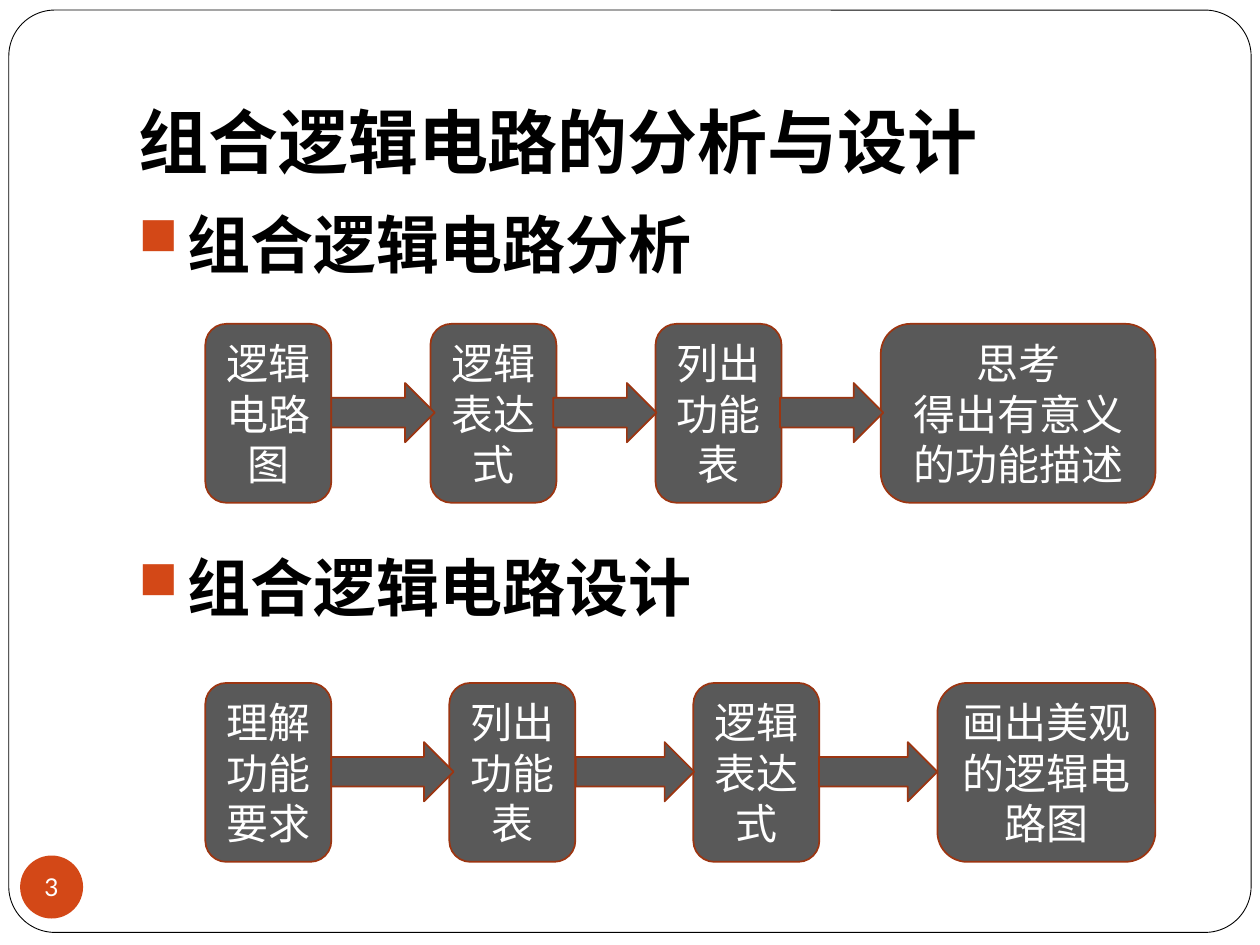
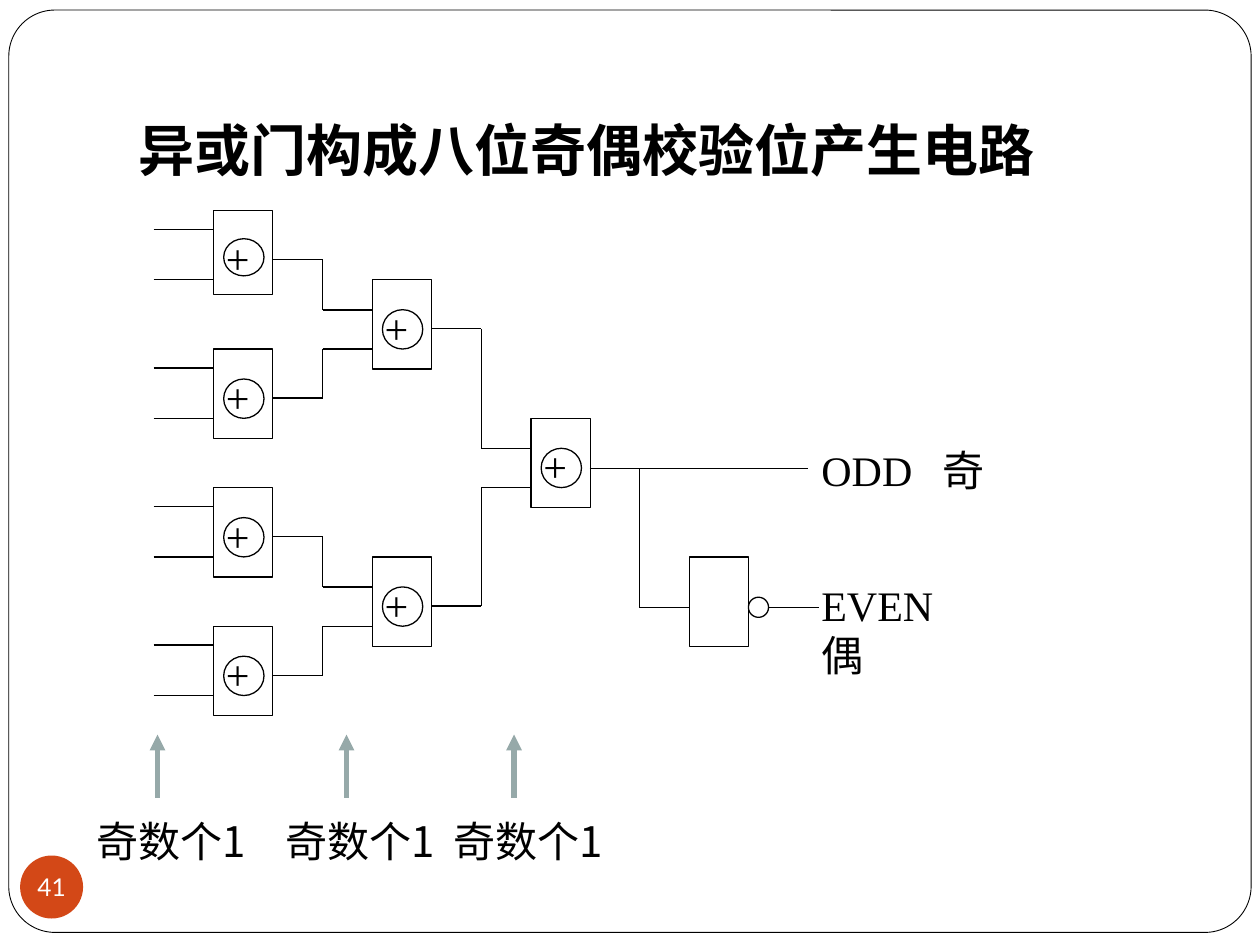
from lxml import etree
from pptx import Presentation
from pptx.dml.color import RGBColor
from pptx.enum import shapes, text
from pptx.oxml import ns
from pptx.util import Inches, Pt

COLORS = {
    "paper": "FFFFFF",
    "ink": "000000",
    "accent": "D34817",
    "accent_dark": "9C3511",
    "step": "595959",
    "pointer": "96A9A9",
}
HEADING_FONT = "Noto Sans CJK JP"
BODY_FONT = "Times New Roman"
NUMBER_FONT = "Lato"
EAST_ASIAN_FONT = "Lato"

KIND = shapes.MSO_SHAPE
ANCHOR = text.MSO_ANCHOR


def color(name):
    return RGBColor.from_string(COLORS[name])


def add_xml(parent, tag, **attributes):
    return etree.SubElement(parent, ns.qn(tag), attributes)


def style_text(frame, size, font, color_name="ink", bold=False, align=None):
    for paragraph in frame.paragraphs:
        paragraph.alignment = align
        for run in paragraph.runs:
            run.font.size = Pt(size)
            run.font.name = font
            run.font.bold = bold
            run.font.color.rgb = color(color_name)
            add_xml(run.font._element, "a:ea", typeface=EAST_ASIAN_FONT)


def add_box(container, kind, box, fill=None, line=None, width=0.75):
    shape = container.add_shape(kind, *map(Inches, box))
    shape.shadow.inherit = False
    if fill:
        shape.fill.solid()
        shape.fill.fore_color.rgb = color(fill)
    else:
        shape.fill.background()
    if line:
        shape.line.color.rgb = color(line)
        shape.line.width = Pt(width)
    else:
        shape.line.fill.background()
    return shape


def add_textbox(container, box, words, size, font, bold=False, grow=False):
    shape = container.add_textbox(*map(Inches, box))
    frame = shape.text_frame
    frame.word_wrap = True
    if grow:
        frame.auto_size = text.MSO_AUTO_SIZE.SHAPE_TO_FIT_TEXT
    frame.text = words
    style_text(frame, size, font, bold=bold)
    return frame


def add_line(container, start, end, color_name="ink", width=0.75, arrow=False):
    connector = container.add_connector(
        shapes.MSO_CONNECTOR.STRAIGHT, *map(Inches, (*start, *end)))
    connector.line.color.rgb = color(color_name)
    connector.line.width = Pt(width)
    if arrow:
        add_xml(connector.line._get_or_add_ln(), "a:tailEnd", type="triangle")
    add_xml(connector._element.spPr, "a:effectLst")


def add_base_slide(presentation, title, title_size, number):
    """Frame, title and page number shared by all slides."""
    slide = presentation.slides.add_slide(presentation.slide_layouts[6])
    frame = add_box(slide.shapes, KIND.ROUNDED_RECTANGLE,
                    (0.07, 0.08, 9.86, 7.32), "paper", "ink", 0.5)
    frame.adjustments[0] = 0.05

    heading = add_textbox(slide.shapes, (1, 0.3, 8.5, 1.25), title,
                          title_size, HEADING_FONT, bold=True)
    heading.vertical_anchor = ANCHOR.BOTTOM
    heading.margin_bottom = Inches(0.1)

    badge = add_box(slide.shapes, KIND.OVAL, (0.16, 6.79, 0.5, 0.5), "accent")
    label = badge.text_frame
    label.margin_left = label.margin_right = 0
    label.margin_top = label.margin_bottom = 0
    label.word_wrap = False
    label.vertical_anchor = ANCHOR.MIDDLE
    label.text = str(number)
    style_text(label, 14, NUMBER_FONT, "paper", align=text.PP_ALIGN.CENTER)
    return slide


# Analysis and design flows

def add_topics(slide, box, topics, gap):
    frame = add_textbox(slide.shapes, box, "\n".join(topics), 36,
                        HEADING_FONT, bold=True)
    for index, paragraph in enumerate(frame.paragraphs):
        properties = paragraph._element.get_or_add_pPr()
        properties.set("marL", str(Inches(0.39)))
        properties.set("indent", str(-Inches(0.39)))
        if index:
            paragraph.space_before = Pt(gap)
        bullet_color = add_xml(properties, "a:buClr")
        add_xml(bullet_color, "a:srgbClr", val=COLORS["accent"])
        add_xml(properties, "a:buSzPct", val="85000")
        add_xml(properties, "a:buChar", char="■")


def add_flow(slide, box, steps, last_width, arrows):
    """Equal gaps between steps; arrows are (offset, length) pairs."""
    left, top, width, height = box
    widths = [1] * (len(steps) - 1) + [last_width]
    gap = (width - sum(widths)) / (len(steps) - 1)
    x = left
    for words, step_width in zip(steps, widths):
        step = add_box(slide.shapes, KIND.ROUNDED_RECTANGLE,
                       (x, top, step_width, height), "step", "accent_dark", 1)
        frame = step.text_frame
        frame.word_wrap = True
        frame.vertical_anchor = ANCHOR.MIDDLE
        frame.text = words
        style_text(frame, 24, BODY_FONT, "paper", align=text.PP_ALIGN.CENTER)
        x += step_width + gap
    for offset, length in arrows:
        add_box(slide.shapes, KIND.RIGHT_ARROW,
                (left + offset, top + 0.47, length, 0.47),
                "step", "accent_dark", 1)


def build_flow_slide(presentation):
    slide = add_base_slide(presentation, "组合逻辑电路的分析与设计", 40, 3)
    add_topics(slide, (1, 1.58, 8.5, 5),
               ["组合逻辑电路分析", "组合逻辑电路设计"], 153)
    add_flow(slide, (1.63, 2.57, 7.54, 1.42),
             ["逻辑电路图", "逻辑表达式", "列出功能表",
              "思考\n得出有意义的功能描述"],
             2.18, [(1, 0.82), (2.76, 0.82), (4.56, 0.82)])
    add_flow(slide, (1.63, 5.42, 7.54, 1.42),
             ["理解功能要求", "列出功能表", "逻辑表达式", "画出美观的逻辑电路图"],
             1.73, [(1, 0.97), (2.94, 0.94), (4.87, 0.94)])


# Parity circuit

GATE_WIDTH = 0.47
GATE_HEIGHT = 0.71
LEVEL_STEP = 1.26
ROW_STEP = 1.1
WIRE = (LEVEL_STEP - GATE_WIDTH) / 2
OUTPUT = 0.39
INPUTS = (0.24, 0.55)


def add_xor_gate(container, x, y, height=GATE_HEIGHT):
    add_box(container, KIND.RECTANGLE, (x, y, GATE_WIDTH, height), line="ink")
    add_box(container, KIND.OVAL,
            (x + 0.08, y + 0.335 * height, 0.32, 0.44 * height), line="ink")
    add_textbox(container, (x, y + 0.13, GATE_WIDTH, 0.5), "+", 24, BODY_FONT,
                grow=True)


def add_path(container, *points):
    for start, end in zip(points, points[1:]):
        add_line(container, start, end)


def add_xor_tree(container, left, tops):
    """Each level halves the gates and doubles their spacing."""
    levels = len(tops)
    for level, top in enumerate(tops):
        x = left + WIRE + 0.08 + level * LEVEL_STEP
        for row in range(2 ** (levels - 1 - level)):
            y = top + row * ROW_STEP * 2 ** level
            first = level == row == 0
            add_xor_gate(container, x, y, 0.67 if first else GATE_HEIGHT)
            if level == 0:
                for offset in (0.15, 0.55):
                    add_line(container, (left, y + offset), (x, y + offset))
            if level < levels - 1:
                start = x + GATE_WIDTH
                target = (tops[level + 1] + row // 2 * ROW_STEP * 2 ** (level + 1)
                          + INPUTS[row % 2])
                add_path(container, (start, y + OUTPUT),
                         (start + WIRE, y + OUTPUT),
                         (start + WIRE, target), (start + 2 * WIRE, target))


def add_outputs(container, left, top):
    """ODD output, and its inverted branch giving EVEN."""
    low = top + ROW_STEP
    add_line(container, (left, top), (left + 1.73, top))
    add_path(container, (left + WIRE, top), (left + WIRE, low),
             (left + 2 * WIRE, low))
    gate_x = left + 2 * WIRE
    add_box(container, KIND.RECTANGLE,
            (gate_x, low - 0.4, GATE_WIDTH, GATE_HEIGHT), line="ink")
    bubble_x = gate_x + GATE_WIDTH
    add_box(container, KIND.OVAL, (bubble_x, low - 0.08, 0.16, 0.16), line="ink")
    add_line(container, (bubble_x + 0.16, low), (bubble_x + 0.56, low))
    for words, y in (("ODD\t奇", top - 0.24), ("EVEN\v偶", low - 0.27)):
        frame = add_textbox(container, (left + 1.74, y, 1.65, 0.5), words, 24,
                            BODY_FONT, grow=True)
        properties = frame.paragraphs[0]._element.get_or_add_pPr()
        tabs = add_xml(properties, "a:tabLst")
        add_xml(tabs, "a:tab", pos=str(Inches(0.96)), algn="l")


def add_pointer(slide, left, top):
    group = slide.shapes.add_group_shape().shapes
    add_textbox(group, (left, top + 0.59, 1.42, 0.5), "奇数个1", 24,
                HEADING_FONT, grow=True)
    add_line(group, (left + 0.58, top + 0.5), (left + 0.58, top),
             "pointer", 3, arrow=True)


def build_circuit_slide(presentation):
    slide = add_base_slide(presentation, "异或门构成八位奇偶校验位产生电路", 32, 41)
    circuit = slide.shapes.add_group_shape().shapes
    add_xor_tree(circuit, 1.22, (1.67, 2.22, 3.32))
    add_outputs(circuit, 4.68, 3.72)
    for left in (0.67, 2.17, 3.5):
        add_pointer(slide, left, 5.83)


def main():
    presentation = Presentation()
    presentation.slide_width = Inches(10)
    presentation.slide_height = Inches(7.5)
    build_flow_slide(presentation)
    build_circuit_slide(presentation)
    presentation.save("out.pptx")


if __name__ == "__main__":
    main()
